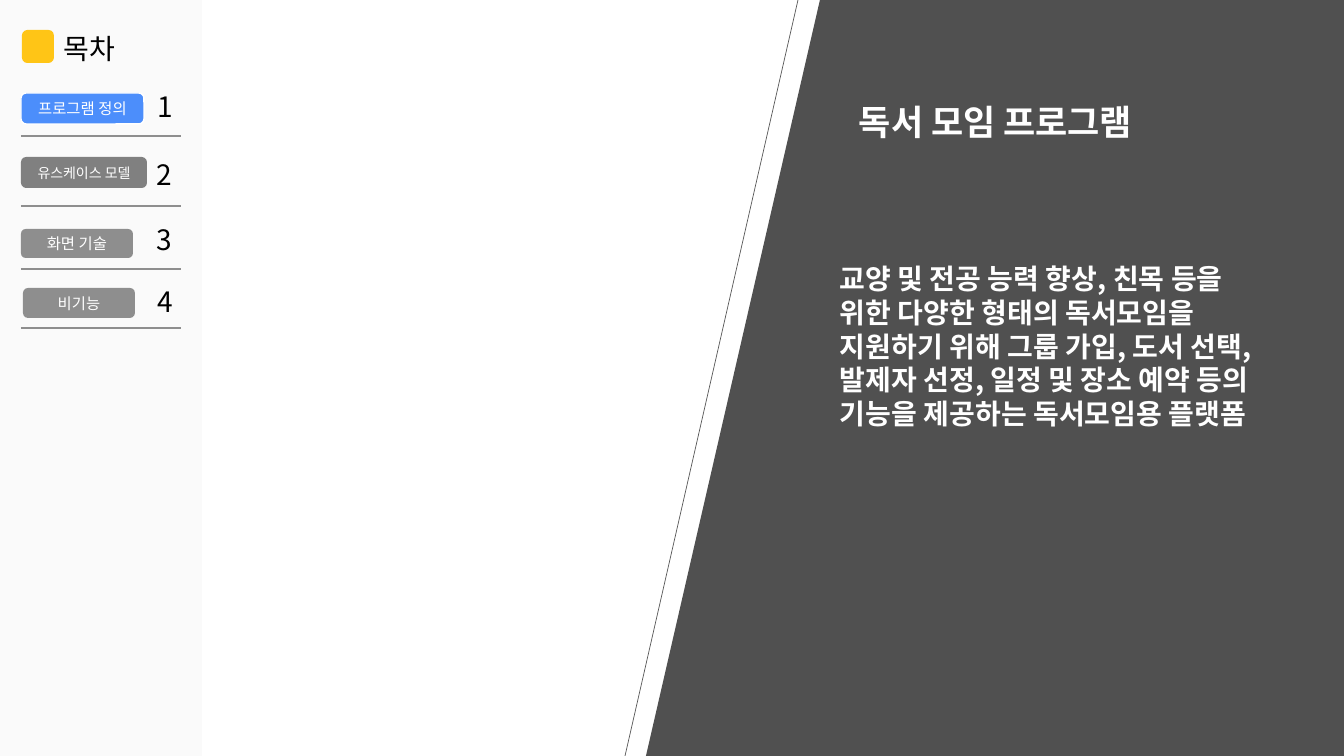
from lxml import etree
from pptx import Presentation, util as u
from pptx.dml.color import RGBColor
from pptx.enum import shapes, text
from pptx.oxml.ns import qn

PX = 914400 / 100.8
FONT = "Noto Sans CJK KR"


def paint(fmt, color, alpha=None):
    fmt.solid()
    fmt.fore_color.rgb = RGBColor.from_string(color)
    if alpha:
        clr = fmt._xPr.find(qn("a:solidFill"))[0]
        etree.SubElement(clr, qn("a:alpha")).set("val", str(alpha * 1000))


def write(s, words, size, color, bold=False):
    tf = s.text_frame
    tf.word_wrap = True
    p = tf.paragraphs[0]
    p.add_run().text = words
    p.font.size = u.Pt(size)
    p.font.bold = bold
    p.font.name = FONT
    paint(p.font.fill, color)
    defaults = p._p.pPr.find(qn("a:defRPr"))
    etree.SubElement(defaults, qn("a:ea")).set("typeface", FONT)
    return tf, p


prs = Presentation()
prs.slide_width = round(1344 * PX)
prs.slide_height = round(756 * PX)
slide = prs.slides.add_slide(prs.slide_layouts[6])

blocks = [
    (shapes.MSO_SHAPE.RECTANGLE, 0, 0, 202, 756, "FAFAFA", "", 0),
    (shapes.MSO_SHAPE.ROUNDED_RECTANGLE, 21, 93, 123, 31, "4C8EFB", "프로그램 정의", 11),
    (shapes.MSO_SHAPE.ROUNDED_RECTANGLE, 21, 157, 126, 31, "808080", "유스케이스 모델", 10),
    (shapes.MSO_SHAPE.ROUNDED_RECTANGLE, 21, 229, 112, 29, "8E8E8E", "화면 기술", 11),
    (shapes.MSO_SHAPE.ROUNDED_RECTANGLE, 23, 288, 112, 30, "8E8E8E", "비기능", 11),
    (shapes.MSO_SHAPE.ROUNDED_RECTANGLE, 22, 30, 32, 33, "FFC516", "", 0),
]
for kind, x, y, w, h, color, label, size in blocks:
    s = slide.shapes.add_shape(kind, *[round(n * PX) for n in (x, y, w, h)])
    s.shadow.inherit = False
    paint(s.fill, color)
    s.line.fill.background()
    if label:
        tf, p = write(s, label, size, "FFFFFF")
        tf.vertical_anchor = text.MSO_ANCHOR.MIDDLE
        p.alignment = text.PP_ALIGN.CENTER
    if color == "4C8EFB":
        paint(s.line.fill, "FFFFFF")
        s.line.width = u.Pt(1)

builder = slide.shapes.build_freeform(646, 756, scale=PX)
builder.add_line_segments([(820, 0), (1344, 0), (1344, 756)])
panel = builder.convert_to_shape()
panel.shadow.inherit = False
paint(panel.fill, "0D0D0D", 72)
panel.line.fill.background()

rules = [(21, y, 181, y, "8E8E8E", 1, None) for y in (136, 206, 269, 328)]
rules.append((798, 0, 625, 756, "000000", 0.5, 65))
for x1, y1, x2, y2, color, width, alpha in rules:
    c = slide.shapes.add_connector(
        shapes.MSO_CONNECTOR.STRAIGHT, *[round(n * PX) for n in (x1, y1, x2, y2)])
    paint(c.line.fill, color, alpha)
    c.line.width = u.Pt(width)
    etree.SubElement(c._element.spPr, qn("a:effectLst"))

texts = [
    (54, 27, 106, 44, "목차", 20, "000000", False),
    (148, 85, 57, 44, "1", 20, "000000", False),
    (147, 153, 57, 44, "2", 20, "000000", False),
    (147, 218, 39, 44, "3", 20, "000000", False),
    (148, 280, 57, 44, "4", 20, "000000", False),
    (849, 96, 445, 52, "독서 모임 프로그램", 25, "FFFFFF", True),
    (830, 257, 445, 214,
     "교양 및 전공 능력 향상, 친목 등을 위한 다양한 형태의 독서모임을 "
     "지원하기 위해 그룹 가입, 도서 선택, 발제자 선정, 일정 및 장소 예약 "
     "등의 기능을 제공하는 독서모임용 플랫폼", 20, "FFFFFF", True),
]
for x, y, w, h, words, size, color, bold in texts:
    s = slide.shapes.add_textbox(*[round(n * PX) for n in (x, y, w, h)])
    tf, p = write(s, words, size, color, bold)
    tf.auto_size = text.MSO_AUTO_SIZE.SHAPE_TO_FIT_TEXT

prs.save("out.pptx")
